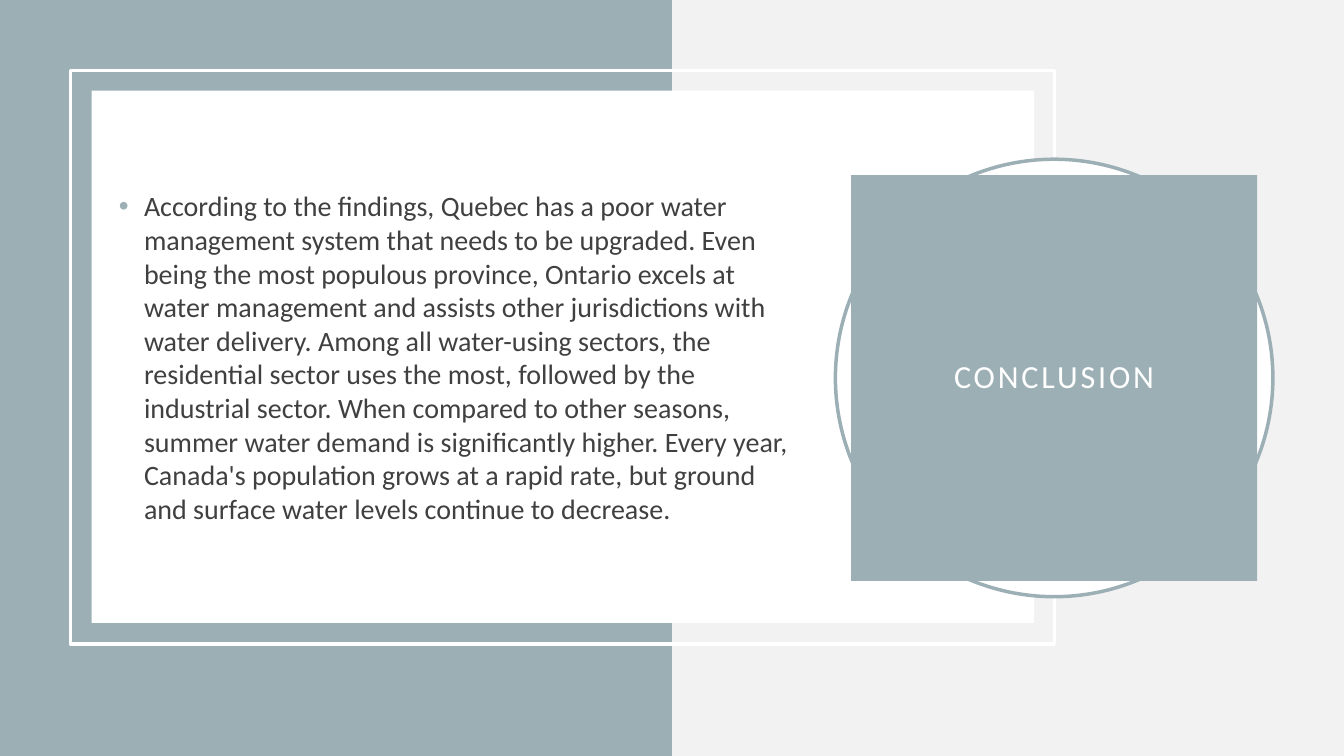
import dataclasses

import lxml.etree
import pptx
import pptx.dml.color
import pptx.enum.shapes
import pptx.enum.text
import pptx.oxml.ns
import pptx.shapes.autoshape
import pptx.slide
import pptx.text.text
import pptx.util

Pt = pptx.util.Pt
RGBColor = pptx.dml.color.RGBColor
Preset = pptx.enum.shapes.MSO_SHAPE

SLATE = RGBColor(0x9B, 0xAF, 0xB5)
WHITE = RGBColor(0xFF, 0xFF, 0xFF)
PALE = RGBColor(0xF2, 0xF2, 0xF2)
INK = RGBColor(0x40, 0x40, 0x40)

FONT = "Calibri"
PAGE_WIDTH, PAGE_HEIGHT = 960, 540
BADGE_X, BADGE_Y = 753, 270
CIRCLE_SIZE, TITLE_SIZE = 312.5, 290
BULLET_INDENT = 18

FINDINGS = (
    "According to the findings, Quebec has a poor water management system that "
    "needs to be upgraded. Even being the most populous province, Ontario excels "
    "at water management and assists other jurisdictions with water delivery. "
    "Among all water-using sectors, the residential sector uses the most, followed "
    "by the industrial sector. When compared to other seasons, summer water demand "
    "is significantly higher. Every year, Canada's population grows at a rapid rate, "
    "but ground and surface water levels continue to decrease."
)


@dataclasses.dataclass(frozen=True)
class Panel:
    left: float
    top: float
    width: float
    height: float
    fill: RGBColor | None = None
    line: RGBColor | None = None
    preset: Preset = Preset.RECTANGLE


PANELS = [
    Panel(0, 0, PAGE_WIDTH / 2, PAGE_HEIGHT, fill=SLATE),
    Panel(50.4, 50.4, 702.7, 409.7, line=WHITE),
    Panel(65.5, 64.8, 673.2, 380.2, fill=WHITE),
    Panel(BADGE_X - CIRCLE_SIZE / 2, BADGE_Y - CIRCLE_SIZE / 2, CIRCLE_SIZE,
          CIRCLE_SIZE, fill=WHITE, line=SLATE, preset=Preset.OVAL),
]


def draw_panel(page: pptx.slide.Slide, panel: Panel) -> None:
    shape = page.shapes.add_shape(panel.preset, Pt(panel.left), Pt(panel.top),
                                  Pt(panel.width), Pt(panel.height))
    shape.shadow.inherit = False
    if panel.fill is None:
        shape.fill.background()
    else:
        shape.fill.solid()
        shape.fill.fore_color.rgb = panel.fill
    if panel.line is None:
        shape.line.fill.background()
    else:
        shape.line.color.rgb = panel.line
        shape.line.width = Pt(2.5)


def prepare_frame(frame: pptx.text.text.TextFrame) -> pptx.text.text._Paragraph:
    frame.word_wrap = True
    frame.auto_size = pptx.enum.text.MSO_AUTO_SIZE.NONE
    frame.vertical_anchor = pptx.enum.text.MSO_ANCHOR.MIDDLE
    return frame.paragraphs[0]


def add_span(para: pptx.text.text._Paragraph, text: str, size: float,
             color: RGBColor) -> pptx.text.text._Run:
    span = para.add_run()
    span.text = text
    span.font.name = FONT
    span.font.size = Pt(size)
    span.font.color.rgb = color
    return span


def add_bullet(para: pptx.text.text._Paragraph) -> None:
    properties = para._p.get_or_add_pPr()
    properties.set("marL", str(Pt(BULLET_INDENT)))
    properties.set("indent", str(-Pt(BULLET_INDENT)))
    name = pptx.oxml.ns.qn
    color = lxml.etree.SubElement(properties, name("a:buClr"))
    lxml.etree.SubElement(color, name("a:srgbClr"), val=str(SLATE))
    lxml.etree.SubElement(properties, name("a:buFont"), typeface="Arial")
    lxml.etree.SubElement(properties, name("a:buChar"), char="•")


def draw_findings(page: pptx.slide.Slide) -> None:
    box = page.shapes.add_textbox(Pt(77.8), Pt(100.8), Pt(504), Pt(308.2))
    para = prepare_frame(box.text_frame)
    para.alignment = pptx.enum.text.PP_ALIGN.LEFT
    para.space_before = Pt(10)
    add_bullet(para)
    add_span(para, FINDINGS, 20, INK)


def draw_title(page: pptx.slide.Slide) -> None:
    title = page.shapes.title
    title.left, title.top = Pt(BADGE_X - TITLE_SIZE / 2), Pt(BADGE_Y - TITLE_SIZE / 2)
    title.width = title.height = Pt(TITLE_SIZE)
    title.fill.solid()
    title.fill.fore_color.rgb = SLATE
    frame = title.text_frame
    frame.margin_left = frame.margin_right = Pt(14.4)
    frame.margin_top = frame.margin_bottom = Pt(14.4)
    para = prepare_frame(frame)
    para.alignment = pptx.enum.text.PP_ALIGN.CENTER
    para.line_spacing = 0.9
    span = add_span(para, "CONCLUSION", 23, WHITE)
    span.font._element.set("spc", "200")
    page.shapes._spTree.append(title._element)


def main() -> None:
    deck = pptx.Presentation()
    deck.slide_width, deck.slide_height = Pt(PAGE_WIDTH), Pt(PAGE_HEIGHT)
    page = deck.slides.add_slide(deck.slide_layouts.get_by_name("Title Only"))
    page.background.fill.solid()
    page.background.fill.fore_color.rgb = PALE
    for panel in PANELS:
        draw_panel(page, panel)
    draw_findings(page)
    draw_title(page)
    deck.save("out.pptx")


if __name__ == "__main__":
    main()
